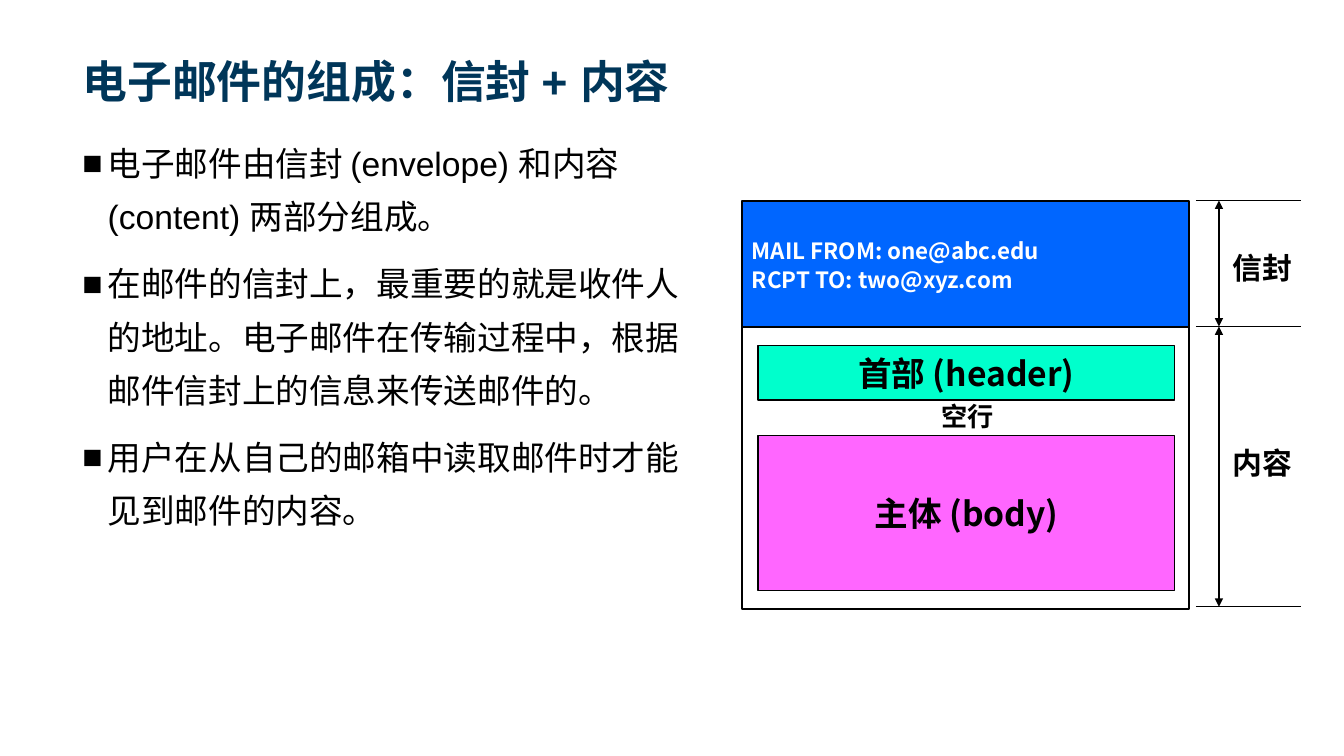
import pptx
import pptx.dml.color
import pptx.enum.shapes
import pptx.enum.text
import pptx.oxml
import pptx.oxml.ns
import pptx.util
from pptx.dml.color import RGBColor
from pptx.enum.text import MSO_ANCHOR, PP_ALIGN
from pptx.util import Inches, Pt

NAVY = RGBColor(0x00, 0x36, 0x59)
BLACK = RGBColor(0x00, 0x00, 0x00)
WHITE = RGBColor(0xFF, 0xFF, 0xFF)
BLUE = RGBColor(0x00, 0x66, 0xFF)
MINT = RGBColor(0x00, 0xFF, 0xCC)
PINK = RGBColor(0xFF, 0x66, 0xFF)

LATIN_FONT = "Arial"
CJK_FONT = "Noto Sans CJK SC"

TITLE = "电子邮件的组成：信封 + 内容"
POINTS = [
    "电子邮件由信封 (envelope) 和内容 (content) 两部分组成。",
    "在邮件的信封上，最重要的就是收件人的地址。电子邮件在传输过程中，根据邮件信封上的信息来传送邮件的。",
    "用户在从自己的邮箱中读取邮件时才能见到邮件的内容。",
]
ENVELOPE_LINES = ["MAIL FROM: one@abc.edu", "RCPT TO: two@xyz.com"]

MAIL_LEFT, MAIL_WIDTH = 7.36, 4.43
PART_LEFT, PART_WIDTH = 7.52, 4.13
ENVELOPE_TOP, CONTENT_TOP, CONTENT_BOTTOM = 1.99, 3.24, 6.02
RULE_LEFT, RULE_RIGHT, ARROW_X = 11.86, 12.9, 12.09


def append_element(parent, tag, **attributes):
    element = pptx.oxml.parse_xml(f"<a:{tag} {pptx.oxml.ns.nsdecls('a')}/>")
    for name, value in attributes.items():
        element.set(name, value)
    parent.append(element)


def add_bullet(paragraph):
    properties = paragraph._p.get_or_add_pPr()
    properties.set("marL", str(Inches(0.25)))
    properties.set("indent", str(-Inches(0.25)))
    append_element(properties, "buFont", typeface=LATIN_FONT)
    append_element(properties, "buChar", char="■")


def write_text(shape, lines, size, color=BLACK, font=CJK_FONT, bold=True,
               align=PP_ALIGN.CENTER, anchor=MSO_ANCHOR.MIDDLE,
               line_spacing=None, space_before=0, bulleted=False):
    frame = shape.text_frame
    frame.word_wrap = True
    frame.vertical_anchor = anchor
    for index, line in enumerate(lines):
        paragraph = frame.add_paragraph() if index else frame.paragraphs[0]
        paragraph.alignment = align
        if line_spacing:
            paragraph.line_spacing = Pt(line_spacing)
        if index:
            paragraph.space_before = Pt(space_before)
        if bulleted:
            add_bullet(paragraph)
        run = paragraph.add_run()
        run.text = line
        run.font.size = Pt(size)
        run.font.bold = bold
        run.font.name = font
        run.font.color.rgb = color
        append_element(run.font._element, "ea", typeface=CJK_FONT)


def add_label(slide, left, top, width, height, lines, size, **style):
    box = slide.shapes.add_textbox(
        Inches(left), Inches(top), Inches(width), Inches(height))
    write_text(box, lines, size, **style)


def add_block(slide, left, top, width, height, fill, line_width):
    block = slide.shapes.add_shape(
        pptx.enum.shapes.MSO_SHAPE.RECTANGLE,
        Inches(left), Inches(top), Inches(width), Inches(height))
    block.shadow.inherit = False
    block.fill.solid()
    block.fill.fore_color.rgb = fill
    block.line.color.rgb = BLACK
    block.line.width = Pt(line_width)
    return block


def add_line(slide, x1, y1, x2, y2, arrows=False):
    line = slide.shapes.add_connector(
        pptx.enum.shapes.MSO_CONNECTOR.STRAIGHT,
        Inches(x1), Inches(y1), Inches(x2), Inches(y2))
    line.line.color.rgb = BLACK
    line.line.width = Pt(1)
    if arrows:
        for end in ("headEnd", "tailEnd"):
            append_element(line.line._get_or_add_ln(), end, type="triangle")
    append_element(line._element.spPr, "effectLst")


def add_mail_diagram(slide):
    add_block(slide, MAIL_LEFT, CONTENT_TOP, MAIL_WIDTH, 2.8, WHITE, 1.5)
    for text, top, height, fill in [("首部 (header)", 3.43, 0.54, MINT),
                                    ("主体 (body)", 4.32, 1.54, PINK)]:
        part = add_block(slide, PART_LEFT, top, PART_WIDTH, height, fill, 1)
        write_text(part, [text], 24)
    add_label(slide, 8.29, 3.92, 2.62, 0.42, ["空行"], 18.7,
              anchor=MSO_ANCHOR.TOP)
    envelope = add_block(slide, MAIL_LEFT, ENVELOPE_TOP, MAIL_WIDTH,
                         CONTENT_TOP - ENVELOPE_TOP, BLUE, 1.5)
    write_text(envelope, ENVELOPE_LINES, 16, color=WHITE,
               align=PP_ALIGN.LEFT, line_spacing=21.3)


def add_dimensions(slide):
    for y in (ENVELOPE_TOP, CONTENT_TOP, CONTENT_BOTTOM):
        add_line(slide, RULE_LEFT, y, RULE_RIGHT, y)
    for text, label_top, top, bottom in [
            ("信封", 2.38, ENVELOPE_TOP, CONTENT_TOP),
            ("内容", 4.32, CONTENT_TOP, CONTENT_BOTTOM)]:
        add_label(slide, 11.82, label_top, 1.09, 0.54, [text], 21.3,
                  align=PP_ALIGN.RIGHT)
        add_line(slide, ARROW_X, top, ARROW_X, bottom, arrows=True)


def main():
    presentation = pptx.Presentation()
    presentation.slide_width = Inches(13.33)
    presentation.slide_height = Inches(7.5)
    slide = presentation.slides.add_slide(presentation.slide_layouts[6])
    add_label(slide, 0.72, 0.14, 11.88, 0.98, [TITLE], 32, color=NAVY,
              font=LATIN_FONT, align=PP_ALIGN.LEFT, anchor=MSO_ANCHOR.BOTTOM)
    add_label(slide, 0.72, 1.24, 6.34, 5.47, POINTS, 24, font=LATIN_FONT,
              bold=False, align=PP_ALIGN.LEFT, anchor=MSO_ANCHOR.TOP,
              line_spacing=38, space_before=10, bulleted=True)
    add_mail_diagram(slide)
    add_dimensions(slide)
    presentation.save("out.pptx")


if __name__ == "__main__":
    main()
